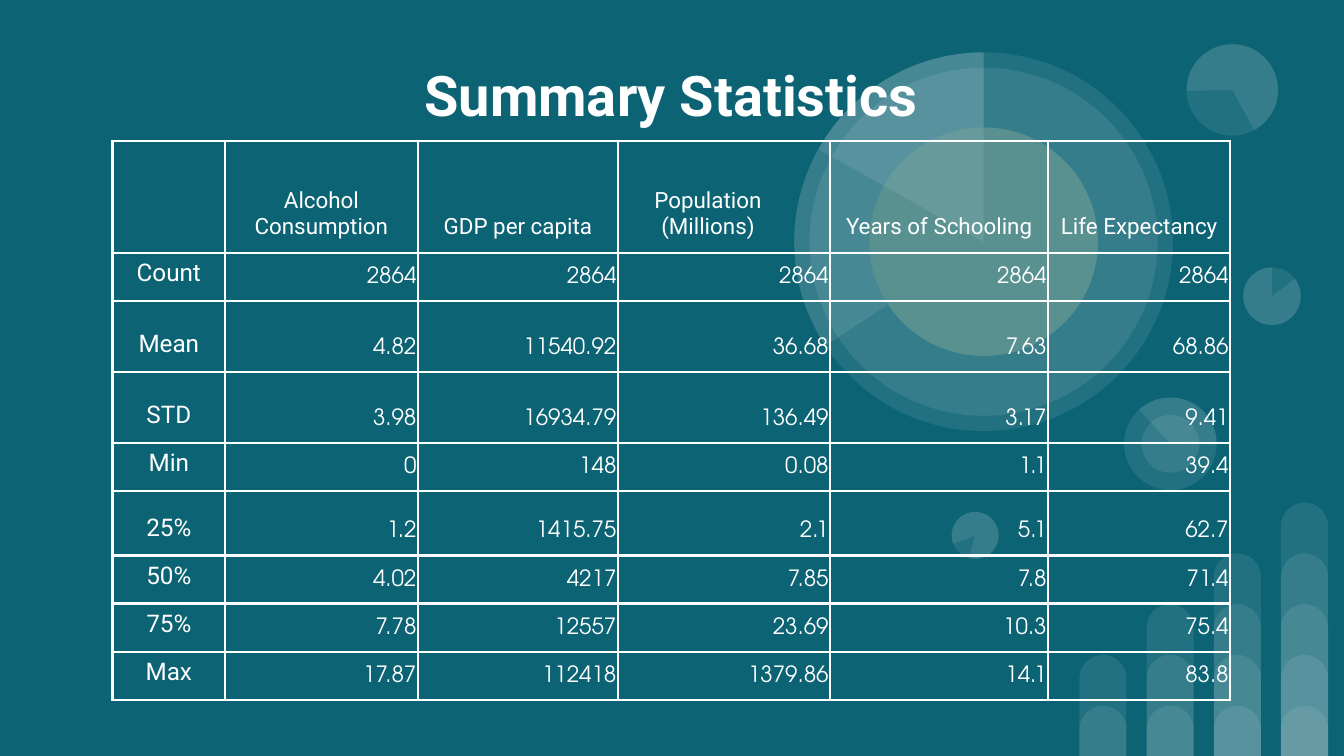
from lxml import etree
from pptx import Presentation
from pptx import util as u
from pptx.dml.color import RGBColor
from pptx.enum import shapes, text
from pptx.oxml.ns import qn

COLORS = {"bg": "0B6374", "white": "FFFFFF", "core": "599191"}
HEAD_FONT, DATA_FONT = "Roboto", "TeX Gyre Adventor"
SLIDE_W, SLIDE_H = 25.4, 14.29
VEIL = 9  # opacity of the decoration, percent

COL_WIDTHS = [2.12, 3.65, 3.78, 4.01, 4.12, 3.44]
ROW_HEIGHTS = [2.11, 0.91, 1.34, 1.34, 0.91, 1.22, 0.91, 0.91, 0.91]
STATISTICS = [
    ["", "Alcohol Consumption", "GDP per capita", "Population (Millions)",
     "Years of Schooling", "Life Expectancy"],
    ["Count", "2864", "2864", "2864", "2864", "2864"],
    ["Mean", "4.82", "11540.92", "36.68", "7.63", "68.86"],
    ["STD", "3.98", "16934.79", "136.49", "3.17", "9.41"],
    ["Min", "0", "148", "0.08", "1.1", "39.4"],
    ["25%", "1.2", "1415.75", "2.1", "5.1", "62.7"],
    ["50%", "4.02", "4217", "7.85", "7.8", "71.4"],
    ["75%", "7.78", "12557", "23.69", "10.3", "75.4"],
    ["Max", "17.87", "112418", "1379.86", "14.1", "83.8"],
]


def rgb(name):
    return RGBColor.from_string(COLORS[name])


def add_run(p, words, size, font, bold=False):
    r = p.add_run()
    r.text = words
    r.font.size, r.font.name, r.font.bold = u.Pt(size), font, bold
    r.font.color.rgb = rgb("white")


def add_decor(s, kind, x, y, w, h, color="white", opacity=VEIL):
    sp = s.shapes.add_shape(kind, u.Cm(x), u.Cm(y), u.Cm(w), u.Cm(h))
    sp.shadow.inherit = False
    sp.line.fill.background()
    sp.fill.solid()
    sp.fill.fore_color.rgb = rgb(color)
    if opacity < 100:
        clr = sp.fill._xPr.find(".//" + qn("a:srgbClr"))
        etree.SubElement(clr, qn("a:alpha"), val=str(opacity * 1000))
    return sp


def add_disc(s, cx, cy, d, color="white", opacity=VEIL):
    add_decor(s, shapes.MSO_SHAPE.OVAL, cx - d / 2, cy - d / 2, d, d, color, opacity)


def add_sector(s, cx, cy, d, start, end=270, rotation=0):
    """Pie sector from start to end, in degrees clockwise from the right."""
    sp = add_decor(s, shapes.MSO_SHAPE.PIE, cx - d / 2, cy - d / 2, d, d)
    # pie angles are stored in 1/60000 degree, adjustments in 1/100000
    sp.adjustments[0], sp.adjustments[1] = start * 0.6, end * 0.6
    sp.rotation = rotation


def add_bars(s):
    for col in range(4):
        for level in range(col + 2):
            h = 0.95 + 0.96 * level
            sp = add_decor(s, shapes.MSO_SHAPE.ROUND_2_SAME_RECTANGLE,
                           20.4 + 1.27 * col, SLIDE_H - h, 0.89, h)
            sp.adjustments[0], sp.adjustments[1] = 0.5, 0


def add_pies(s):
    # Small pies: centre, diameter, sector start and end, rotation
    for cx, cy, d, start, end, rotation in [
        (24.04, 5.6, 1.09, 322.95, 270, 0),
        (18.43, 10.12, 0.89, 322.95, 270, 196.2),
        (22.12, 8.39, 1.75, 137.41, 270.77, 90),
        (23.29, 1.7, 1.73, 322.95, 205.23, 215.9),
    ]:
        add_disc(s, cx, cy, d)
        add_sector(s, cx, cy, d, start, end, rotation)
    add_disc(s, 22.12, 8.39, 1.09)

    # Large pie with a solid core
    cx, cy, d = 18.59, 4.57, 7.16
    add_disc(s, cx, cy, d)
    add_disc(s, cx, cy, 6.58)
    add_sector(s, cx, cy, d, 146.69)
    add_disc(s, cx, cy, 4.32, "core", 100)
    add_sector(s, cx, cy, d, 209.24)


def set_borders(cell):
    tc_pr = cell._tc.get_or_add_tcPr()
    for i, side in enumerate(("lnL", "lnR", "lnT", "lnB")):
        ln = etree.Element(qn("a:" + side), w=str(u.Pt(1.5)))
        fill = etree.SubElement(ln, qn("a:solidFill"))
        etree.SubElement(fill, qn("a:srgbClr"), val=COLORS["white"])
        tc_pr.insert(i, ln)


def fill_cell(cell, words, row, col):
    cell.fill.background()
    set_borders(cell)
    cell.vertical_anchor = text.MSO_ANCHOR.BOTTOM
    cell.margin_left = cell.margin_right = cell.margin_top = u.Cm(0.03)
    cell.margin_bottom = u.Cm(0.25)
    if not words:
        return
    p = cell.text_frame.paragraphs[0]
    if row and col:
        p.alignment, p.line_spacing = text.PP_ALIGN.RIGHT, 1.15
        add_run(p, words, 12, DATA_FONT)
    else:
        p.alignment = text.PP_ALIGN.CENTER
        add_run(p, words, 13 if row else 12, HEAD_FONT)


def add_statistics(s):
    table = s.shapes.add_table(len(ROW_HEIGHTS), len(COL_WIDTHS), u.Cm(2.13), u.Cm(2.67),
                               u.Cm(sum(COL_WIDTHS)), u.Cm(sum(ROW_HEIGHTS))).table
    table.first_row = table.horz_banding = False
    for column, width in zip(table.columns, COL_WIDTHS):
        column.width = u.Cm(width)
    for row, height in zip(table.rows, ROW_HEIGHTS):
        row.height = u.Cm(height)
    for i, values in enumerate(STATISTICS):
        for j, words in enumerate(values):
            fill_cell(table.cell(i, j), words, i, j)
    # The population heading sits left of its column's centre, on two lines
    table.cell(0, 3).margin_right = u.Cm(0.64)


def set_title(s, words):
    sp = s.shapes.title
    sp.left, sp.top, sp.width, sp.height = u.Cm(5.66), u.Cm(0.74), u.Cm(14.05), u.Cm(2.06)
    tf = sp.text_frame
    tf.word_wrap = True
    tf.auto_size = text.MSO_AUTO_SIZE.NONE
    tf.vertical_anchor = text.MSO_ANCHOR.MIDDLE
    tf.margin_left = tf.margin_right = tf.margin_top = tf.margin_bottom = u.Cm(0.25)
    p = tf.paragraphs[0]
    p.alignment = text.PP_ALIGN.CENTER
    add_run(p, words, 30, HEAD_FONT, bold=True)
    s.shapes._spTree.append(sp._element)  # bring to front


def main():
    prs = Presentation()
    prs.slide_width, prs.slide_height = u.Cm(SLIDE_W), u.Cm(SLIDE_H)
    s = prs.slides.add_slide(prs.slide_layouts[5])
    s.background.fill.solid()
    s.background.fill.fore_color.rgb = rgb("bg")

    # Background decoration
    add_bars(s)
    add_pies(s)

    # Content
    add_statistics(s)
    set_title(s, "Summary Statistics")
    prs.save("out.pptx")


if __name__ == "__main__":
    main()
